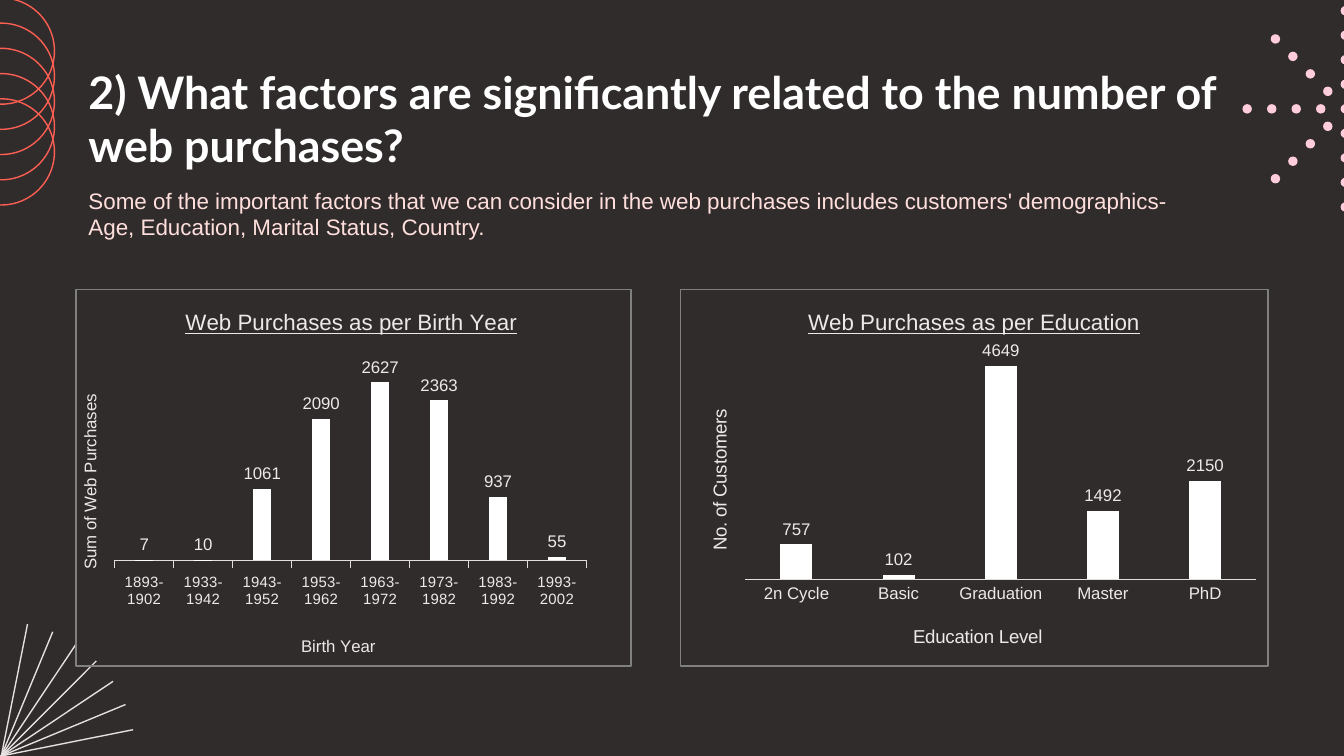
from math import cos, radians, sin

from pptx import Presentation
from pptx.chart.data import CategoryChartData
from pptx.dml.color import RGBColor
from pptx.enum.chart import XL_CHART_TYPE, XL_LABEL_POSITION, XL_TICK_MARK
from pptx.enum.shapes import MSO_CONNECTOR, MSO_SHAPE
from pptx.oxml import parse_xml
from pptx.oxml.ns import nsdecls, qn
from pptx.util import Inches, Pt

COLUMN = XL_CHART_TYPE.COLUMN_CLUSTERED
OUT_END = XL_LABEL_POSITION.OUTSIDE_END
TICK_OUT, TICK_NONE = XL_TICK_MARK.OUTSIDE, XL_TICK_MARK.NONE
OVAL, STRAIGHT = MSO_SHAPE.OVAL, MSO_CONNECTOR.STRAIGHT

WIDTH = 10
HEIGHT = WIDTH * 9 / 16

DARK = RGBColor(0x31, 0x2C, 0x2C)
WHITE = RGBColor(0xFF, 0xFF, 0xFF)
BLUSH = RGBColor(0xFF, 0xDF, 0xDC)
PINK = RGBColor(0xFF, 0xCD, 0xDB)
CORAL = RGBColor(0xFF, 0x5F, 0x52)
RAY = RGBColor(0xE6, 0xE1, 0xE0)
LABEL = RGBColor(0xEB, 0xE9, 0xE9)
AXIS = RGBColor(0xE1, 0xDE, 0xDE)
BORDER = RGBColor(0x80, 0x80, 0x80)

BIRTH = {
    "box": (0.56, 2.15, 4.14, 2.81),
    "cats": ["1893-1902", "1933-1942", "1943-1952", "1953-1962",
             "1963-1972", "1973-1982", "1983-1992", "1993-2002"],
    "vals": [7, 10, 1061, 2090, 2627, 2363, 937, 55],
    "plot": (0.07, 0.18, 0.85, 0.54), "top": 3000, "tick": TICK_OUT,
    "cat_size": 8, "axis_size": 9, "gap": 100,
    "title": ("Web Purchases as per Birth Year", 0.19, 0.04),
    "x_title": ("Birth Year", 0.4, 0.91),
    "y_title": ("Sum of Web Purchases", 0, 0.27),
}
LEVEL = {
    "box": (5.06, 2.15, 4.38, 2.81),
    "cats": ["2n Cycle", "Basic", "Graduation", "Master", "PhD"],
    "vals": [757, 102, 4649, 1492, 2150],
    "plot": (0.11, 0.16, 0.87, 0.61), "top": 5000, "tick": TICK_NONE,
    "cat_size": 9, "axis_size": 10, "gap": 0,
    "title": ("Web Purchases as per Education", 0.21, 0.04),
    "x_title": ("Education Level", 0.39, 0.88),
    "y_title": ("No. of Customers", 0.04, 0.31),
}


def apply(item, form):
    for key, val in form.items():
        setattr(item, key, val)


def set_font(font, size, color, **form):
    apply(font, {"size": Pt(size), "name": "Arial", "bold": False, **form})
    font.color.rgb = color


def set_line(line, color):
    line.color.rgb = color
    line.width = Pt(0.75)


def add_text(slide, box, text, size, color, **form):
    frame = slide.shapes.add_textbox(*map(Inches, box)).text_frame
    frame.word_wrap = True
    run = frame.paragraphs[0].add_run()
    run.text = text
    set_font(run.font, size, color, **form)


def add_disc(slide, x, y, size):
    disc = slide.shapes.add_shape(
        OVAL, Inches(x - size / 2), Inches(y - size / 2), Inches(size), Inches(size))
    disc.shadow.inherit = False
    return disc


def add_ring(slide, x, y):
    ring = add_disc(slide, x, y, 0.79)
    ring.fill.background()
    set_line(ring.line, CORAL)


def add_dot(slide, x, y):
    dot = add_disc(slide, x, y, 0.07)
    dot.fill.solid()
    dot.fill.fore_color.rgb = PINK
    dot.line.fill.background()


def add_ray(slide, x, y, angle):
    dx, dy = cos(radians(angle)), sin(radians(angle))
    ends = (x + dx, y - dy, x - dx, y + dy)
    ray = slide.shapes.add_connector(STRAIGHT, *map(Inches, ends))
    set_line(ray.line, RAY)
    ray._element.spPr.append(parse_xml(f"<a:effectLst {nsdecls('a')}/>"))


def make_layout(mode, **parts):
    body = "".join(f'<c:{key} val="{val}"/>' for key, val in parts.items())
    return parse_xml(
        f"<c:layout {nsdecls('c')}><c:manualLayout>{mode}"
        f'<c:xMode val="edge"/><c:yMode val="edge"/>{body}</c:manualLayout></c:layout>')


def drop_layout(root):
    for old in root.findall(qn("c:layout")):
        root.remove(old)


def set_title(title, text, x, y, size, **form):
    frame = title.text_frame
    frame.text = text
    set_font(frame.paragraphs[0].runs[0].font, size, LABEL, **form)
    root = title._element
    drop_layout(root)
    root.find(qn("c:tx")).addnext(make_layout("", x=x, y=y))


def set_plot(chart, box):
    area = chart._chartSpace.chart.plotArea
    drop_layout(area)
    mode = '<c:layoutTarget val="inner"/>'
    area.insert(0, make_layout(mode, **dict(zip("xywh", box))))


def add_border(chart):
    chart._chartSpace.chart.addnext(parse_xml(
        f"<c:spPr {nsdecls('c', 'a')}><a:noFill/><a:ln w=\"{Pt(0.75)}\"><a:solidFill>"
        f'<a:srgbClr val="{BORDER}"/></a:solidFill></a:ln></c:spPr>'))


def add_bars(slide, info):
    data = CategoryChartData()
    data.categories = info["cats"]
    data.add_series("Series 1", info["vals"])
    chart = slide.shapes.add_chart(COLUMN, *map(Inches, info["box"]), data).chart
    chart.has_legend = False
    set_font(chart.font, 10, DARK)
    add_border(chart)
    set_plot(chart, info["plot"])

    plot = chart.plots[0]
    apply(plot, {"gap_width": 219, "overlap": -27,
                 "vary_by_categories": False, "has_data_labels": True})
    apply(plot.data_labels, {"show_value": True, "position": OUT_END})
    set_font(plot.data_labels.font, 9, LABEL)
    fill = plot.series[0].format.fill
    fill.solid()
    fill.fore_color.rgb = WHITE

    cat, val = chart.category_axis, chart.value_axis
    apply(cat, {"major_tick_mark": info["tick"], "has_major_gridlines": False})
    cat.tick_labels.offset = info["gap"]
    set_font(cat.tick_labels.font, info["cat_size"], LABEL)
    set_line(cat.format.line, AXIS)
    apply(val, {"minimum_scale": 0, "maximum_scale": info["top"],
                "has_major_gridlines": False, "visible": False})

    set_title(chart.chart_title, *info["title"], 12, underline=True)
    set_title(cat.axis_title, *info["x_title"], info["axis_size"])
    set_title(val.axis_title, *info["y_title"], info["axis_size"])
    body = val.axis_title.text_frame._txBody.find(qn("a:bodyPr"))
    body.set("rot", "-5400000")
    body.set("vert", "horz")


def add_decor(slide):
    for i in range(1, 8):
        add_ray(slide, 0.01, HEIGHT, i * 11.25)
    for i in range(5):
        add_ring(slide, 0.01, 0.38 + i * 0.75 / 4)
    x, y = 10.01, 0.81
    for i in range(-4, 5):
        add_dot(slide, x, y + i * 0.73 / 4)
    for i in range(1, 5):
        add_dot(slide, x - i * 0.73 / 4, y)
        for way in (-1, 1):
            add_dot(slide, x - i * 0.13, y + way * i * 0.13)


def main():
    deck = Presentation()
    apply(deck, {"slide_width": Inches(WIDTH), "slide_height": Inches(HEIGHT)})
    slide = deck.slides.add_slide(deck.slide_layouts[6])
    back = slide.background.fill
    back.solid()
    back.fore_color.rgb = DARK
    add_decor(slide)
    add_text(slide, (0.56, 0.43, 8.73, 0.91),
             "2) What factors are significantly related to the number of web purchases?",
             24, WHITE, name="Lato", bold=True)
    add_bars(slide, BIRTH)
    add_bars(slide, LEVEL)
    add_text(slide, (0.56, 1.34, 8.45, 0.5),
             "Some of the important factors that we can consider in the web purchases "
             "includes customers' demographics- Age, Education, Marital Status, Country.",
             12, BLUSH)
    deck.save("out.pptx")


if __name__ == "__main__":
    main()
